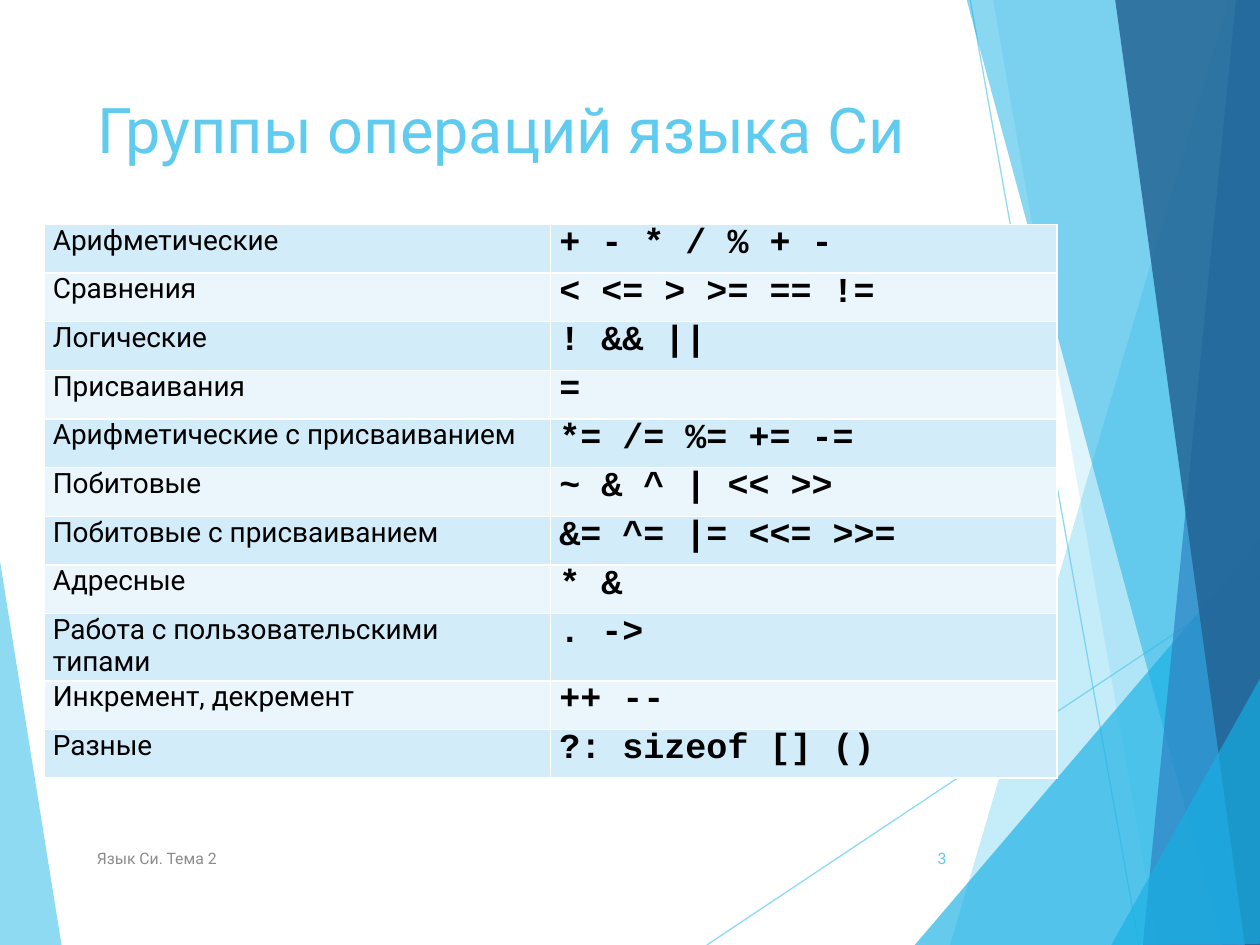
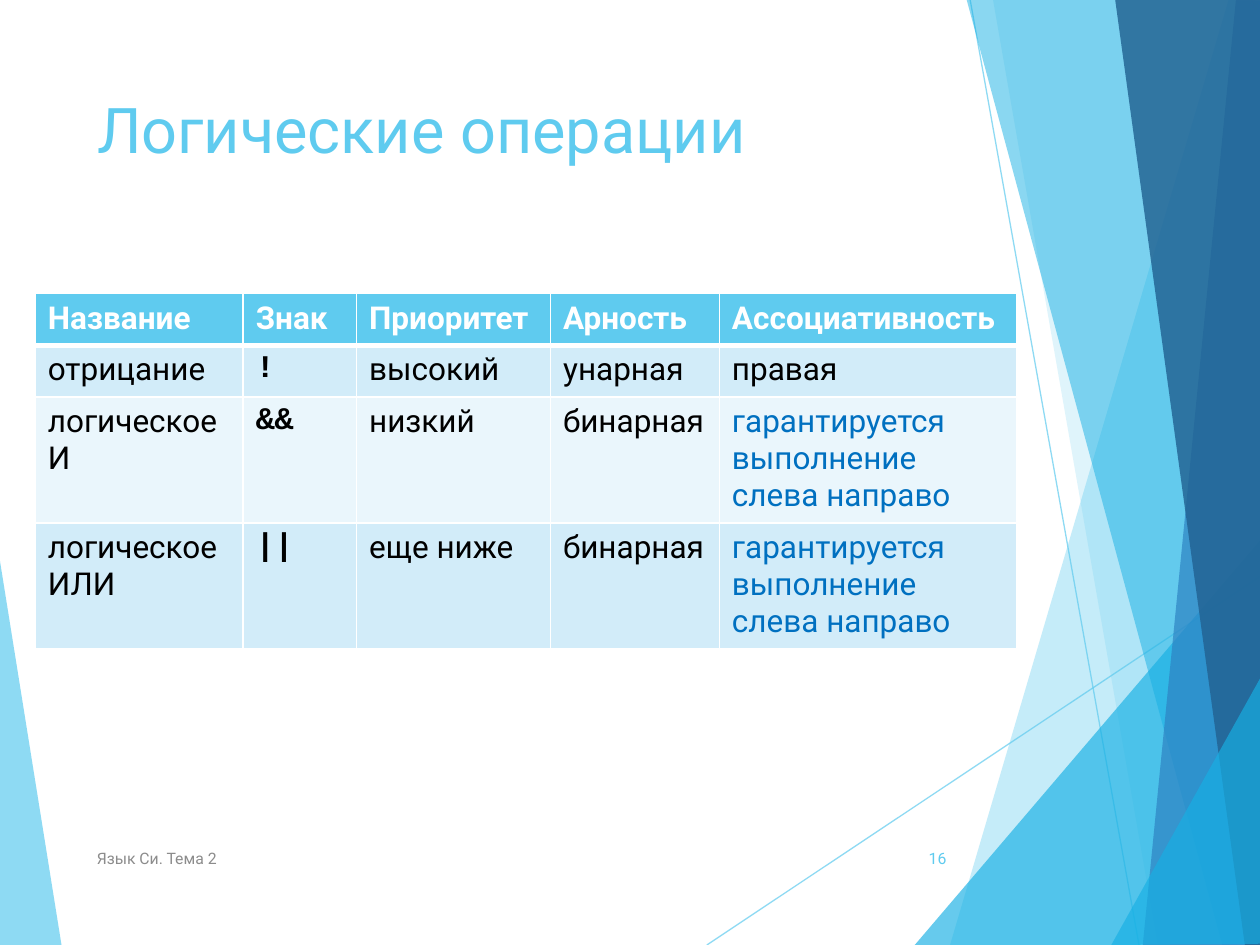
from dataclasses import dataclass

from lxml.etree import SubElement
from pptx import Presentation
from pptx.dml.color import RGBColor as Color
from pptx.enum.shapes import MSO_CONNECTOR as Connector
from pptx.enum.text import MSO_ANCHOR as Anchor, MSO_AUTO_SIZE as AutoSize, PP_ALIGN as Align
from pptx.oxml.ns import qn
from pptx.util import Inches, Pt

# The slide is a grid of 10 columns by 7.5 rows
COLUMNS, ROWS = 10, 7.5


@dataclass(frozen=True)
class Theme:
    sky: str = "5FCBEF"
    cyan: str = "17B0E4"
    blue: str = "2E83C3"
    navy: str = "226292"
    note: str = "0070C0"
    black: str = "000000"
    white: str = "FFFFFF"
    gray: str = "8C8C8C"
    bands: tuple = ("D2ECF9", "EAF6FC")
    text_font: str = "Roboto"
    code_font: str = "Courier New"
    title_size: int = 36
    operator_size: int = 20
    table_size: int = 18
    group_size: int = 16
    footer_size: int = 9
    hairline: float = 0.75
    border: int = 1
    header_border: int = 3


THEME = Theme()

# Background lines: start, end
BACKDROP_LINES = [((5.61, 7.5), (10.01, 4.57)), ((7.7, 0), (9.04, 7.5))]

# Background facets: colour, opacity in percent, corners
BACKDROP_FACETS = [
    (THEME.sky, 36, [(9.75, 0), (7.54, 7.5), (10.02, 7.51), (10.01, 0.01)]),
    (THEME.sky, 20, [(7.88, -0.01), (9.19, 7.5), (10.01, 7.5), (10.01, -0.01)]),
    (THEME.cyan, 66, [(7.26, 7.5), (10, 4.29), (10.01, 7.5)]),
    (THEME.cyan, 50, [(7.67, -0.01), (9.7, 7.5), (10.01, 7.49), (10.01, -0.01)]),
    (THEME.blue, 70, [(9.81, -0.01), (9.07, 7.5), (10.01, 7.5), (10, -0.01)]),
    (THEME.navy, 82, [(8.85, -0.01), (9.88, 7.5), (10.02, 7.5), (10, -0.01)]),
    (THEME.cyan, 66, [(8.82, 7.5), (10.02, 5.35), (10.02, 7.49)]),
]
LEFT_FACET = (THEME.sky, 70, [(-0.01, 4.39), (0.49, 7.51), (-0.01, 7.5)])

OPERATOR_GROUPS = [
    ("Арифметические", "+ - * / % + -"),
    ("Сравнения", "< <= > >= == !="),
    ("Логические", "! && ||"),
    ("Присваивания", "="),
    ("Арифметические с присваиванием", "*= /= %= += -="),
    ("Побитовые", "~ & ^ | << >>"),
    ("Побитовые с присваиванием", "&= ^= |= <<= >>="),
    ("Адресные", "* &"),
    ("Работа с пользовательскими типами", ". ->"),
    ("Инкремент, декремент", "++ --"),
    ("Разные", "?: sizeof [] ()"),
]

LEFT_TO_RIGHT = "гарантируется выполнение слева направо"
LOGICAL_OPERATORS = [
    ("Название", "Знак", "Приоритет", "Арность", "Ассоциативность"),
    ("отрицание", "!", "высокий", "унарная", "правая"),
    ("логическое И", "&&", "низкий", "бинарная", LEFT_TO_RIGHT),
    ("логическое ИЛИ", "||", "еще ниже", "бинарная", LEFT_TO_RIGHT),
]


def apply(target, formats):
    for name, value in formats.items():
        setattr(target, name, value)


def set_opacity(shape, percent):
    for color in shape.element.iter(qn("a:srgbClr")):
        SubElement(color, qn("a:alpha"), val=str(percent * 1000))


class Deck:
    def __init__(self, theme):
        self.theme = theme
        self.presentation = Presentation()
        apply(self.presentation, {"slide_width": Inches(10), "slide_height": Inches(7.5)})
        self.layout = self.presentation.slide_layouts[5]
        self.slide = None

    # Grid lengths
    def across(self, columns):
        return round(self.presentation.slide_width * columns / COLUMNS)

    def down(self, rows):
        return round(self.presentation.slide_height * rows / ROWS)

    def point(self, column, row):
        return self.across(column), self.down(row)

    def box(self, left, top, width, height):
        return *self.point(left, top), *self.point(width, height)

    # Slides and their shared parts
    def add_slide(self, title, number):
        self.slide = self.presentation.slides.add_slide(self.layout)
        if len(self.presentation.slides) == 1:
            self.build_layout()
        self.title(title)
        theme = self.theme
        self.label("Язык Си. Тема 2", (0.67, 6.61, 5.06, 0.4), theme.gray, Align.LEFT)
        self.label(str(number), (7.05, 6.61, 0.56, 0.4), theme.sky, Align.RIGHT)

    def build_layout(self):
        for placeholder in list(self.layout.placeholders):
            if placeholder.placeholder_format.idx != 0:
                placeholder.element.getparent().remove(placeholder.element)
        backdrop = [self.facet(*LEFT_FACET)]
        backdrop += [self.line(*ends) for ends in BACKDROP_LINES]
        backdrop += [self.facet(*facet) for facet in BACKDROP_FACETS]
        for shape in backdrop:
            self.layout.shapes.element.append(shape.element)

    def facet(self, color, opacity, corners):
        start, *others = [self.point(*corner) for corner in corners]
        builder = self.slide.shapes.build_freeform(*start)
        builder.add_line_segments(others, close=True)
        shape = builder.convert_to_shape()
        shape.shadow.inherit = False
        shape.fill.solid()
        shape.fill.fore_color.rgb = Color.from_string(color)
        shape.line.fill.background()
        set_opacity(shape, opacity)
        return shape

    def line(self, start, end):
        connector = self.slide.shapes.add_connector(
            Connector.STRAIGHT, *self.point(*start), *self.point(*end))
        connector.line.color.rgb = Color.from_string(self.theme.sky)
        connector.line.width = Pt(self.theme.hairline)
        SubElement(connector.element.spPr, qn("a:effectLst"))
        set_opacity(connector, 70)
        return connector

    # Text
    def add_text(self, frame, text, size, color, font=None, bold=False, align=Align.LEFT):
        paragraph = frame.paragraphs[0]
        paragraph.alignment = align
        run = paragraph.add_run()
        run.text = text
        apply(run.font, {"name": font or self.theme.text_font, "size": Pt(size), "bold": bold})
        run.font.color.rgb = Color.from_string(color)

    def title(self, text):
        shape = self.slide.shapes.title
        apply(shape, dict(zip(("left", "top", "width", "height"),
                              self.box(0.67, 0.67, 6.94, 1.44))))
        apply(shape.text_frame, {"vertical_anchor": Anchor.TOP, "word_wrap": True,
                                 "auto_size": AutoSize.NONE})
        self.add_text(shape.text_frame, text, self.theme.title_size, self.theme.sky)

    def label(self, text, place, color, align):
        frame = self.slide.shapes.add_textbox(*self.box(*place)).text_frame
        apply(frame, {"word_wrap": True, "vertical_anchor": Anchor.MIDDLE})
        self.add_text(frame, text, self.theme.footer_size, color, align=align)

    # Tables
    def table(self, rows, place, widths, row_height, style, margins=None, header=False):
        left, top, width, height = self.box(*place)
        frame = self.slide.shapes.add_table(
            len(rows), len(widths), left, top, width, height)
        table = frame.table
        apply(table, {"first_row": header, "horz_banding": False})
        for column, share in zip(table.columns, widths):
            column.width = self.across(share)
        for index, values in enumerate(rows):
            table.rows[index].height = self.down(row_height)
            is_header = header and index == 0
            fill = self.theme.sky if is_header else self.theme.bands[(index - header) % 2]
            for column, text in enumerate(values):
                cell = table.cell(index, column)
                apply(cell, margins or {})
                self.borders(cell, top=header and index == 1, bottom=is_header)
                cell.fill.solid()
                cell.fill.fore_color.rgb = Color.from_string(fill)
                self.add_text(cell.text_frame, text, **style(is_header, column, text))
        frame.height = height

    def borders(self, cell, top, bottom):
        properties = cell._tc.get_or_add_tcPr()
        for side, thick in (("L", False), ("R", False), ("T", top), ("B", bottom)):
            points = self.theme.header_border if thick else self.theme.border
            border = SubElement(properties, qn(f"a:ln{side}"), w=str(Pt(points)))
            solid = SubElement(border, qn("a:solidFill"))
            SubElement(solid, qn("a:srgbClr"), val=self.theme.white)


def group_style(is_header, column, text):
    if column == 1:
        return {"size": THEME.operator_size, "color": THEME.black,
                "font": THEME.code_font, "bold": True}
    return {"size": THEME.group_size, "color": THEME.black}


def logical_style(is_header, column, text):
    style = {"size": THEME.table_size, "color": THEME.black}
    if is_header:
        style.update(color=THEME.white, bold=True)
    elif column == 1:
        style.update(font=THEME.code_font, bold=True)
    elif text == LEFT_TO_RIGHT:
        style.update(color=THEME.note)
    return style


def main():
    deck = Deck(THEME)

    # Operator groups
    deck.add_slide("Группы операций языка Си", 3)
    tight = {"margin_left": Inches(0.07), "margin_right": Inches(0.07),
             "margin_top": 0, "margin_bottom": 0}
    deck.table(OPERATOR_GROUPS, (0.35, 1.78, 8.03, 4.25), [4.02] * 2, 4.25 / 11,
               group_style, margins=tight)

    # Logical operators
    deck.add_slide("Логические операции", 16)
    deck.table(LOGICAL_OPERATORS, (0.28, 2.33, 7.8, 2.81), [1.65, 0.9, 1.54, 1.34, 2.36],
               0.41, logical_style, header=True)

    deck.presentation.save("out.pptx")


if __name__ == "__main__":
    main()
